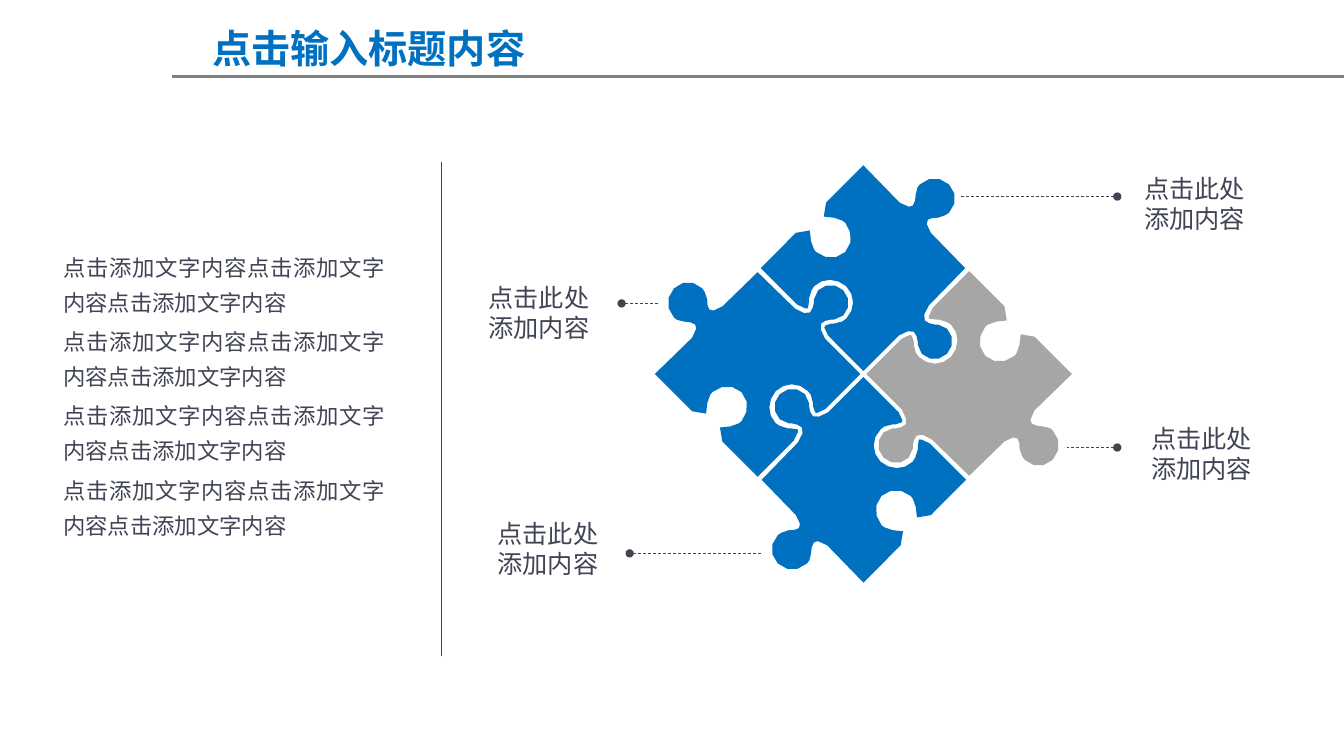
import math

import pptx
import pptx.dml.color
import pptx.enum.dml
import pptx.enum.shapes
import pptx.enum.text
import pptx.oxml
import pptx.oxml.ns
import pptx.util
from pptx.util import Inches

COLORS = {"blue": "0070C0", "gray": "A6A6A6", "rule": "808080", "ink": "414455"}
ALIGN = pptx.enum.text.PP_ALIGN

# Top puzzle piece, clockwise from its tip, in inches from the hub.
# One point is a straight line, three points are a Bezier curve.
PIECE_OUTLINE = [
    [(0, -2.07)],
    # Outer knob
    [(0.36, -1.70)],
    [(0.44, -1.65), (0.48, -1.65), (0.49, -1.67)],
    [(0.52, -1.69), (0.51, -1.74), (0.52, -1.78)],
    [(0.52, -1.84), (0.55, -1.87), (0.56, -1.88)],
    [(0.64, -1.96), (0.77, -1.96), (0.85, -1.88)],
    [(0.93, -1.80), (0.93, -1.68), (0.85, -1.60)],
    [(0.84, -1.59), (0.80, -1.56), (0.74, -1.55)],
    [(0.71, -1.55), (0.66, -1.55), (0.64, -1.53)],
    [(0.62, -1.51), (0.62, -1.48), (0.67, -1.40)],
    [(1.01, -1.05)],
    # Inner knob
    [(0.65, -0.68)],
    [(0.60, -0.61), (0.59, -0.56), (0.61, -0.53)],
    [(0.63, -0.50), (0.68, -0.50), (0.71, -0.49)],
    [(0.74, -0.49)],
    [(0.80, -0.49), (0.83, -0.46), (0.83, -0.45)],
    [(0.90, -0.38), (0.90, -0.27), (0.83, -0.20)],
    [(0.76, -0.13), (0.65, -0.13), (0.58, -0.20)],
    [(0.57, -0.20), (0.54, -0.23), (0.54, -0.29)],
    [(0.54, -0.32)],
    [(0.53, -0.36), (0.53, -0.40), (0.50, -0.42)],
    [(0.47, -0.44), (0.42, -0.42), (0.35, -0.38)],
    [(0, -0.03)],
    # Inner notch
    [(-0.35, -0.38)],
    [(-0.40, -0.46), (-0.39, -0.48), (-0.38, -0.48)],
    [(-0.37, -0.49), (-0.34, -0.49), (-0.32, -0.50)],
    [(-0.29, -0.50)],
    [(-0.22, -0.50), (-0.18, -0.54), (-0.17, -0.55)],
    [(-0.08, -0.64), (-0.08, -0.78), (-0.17, -0.87)],
    [(-0.26, -0.95), (-0.40, -0.96), (-0.49, -0.87)],
    [(-0.50, -0.86), (-0.53, -0.81), (-0.54, -0.75)],
    [(-0.54, -0.72)],
    [(-0.54, -0.69), (-0.54, -0.66), (-0.55, -0.65)],
    [(-0.56, -0.65), (-0.58, -0.64), (-0.66, -0.69)],
    [(-1.02, -1.05)],
    # Outer notch
    [(-0.67, -1.40)],
    [(-0.50, -1.50), (-0.52, -1.39), (-0.52, -1.32)],
    [(-0.51, -1.25), (-0.47, -1.21), (-0.47, -1.21)],
    [(-0.39, -1.14), (-0.26, -1.13), (-0.18, -1.21)],
    [(-0.10, -1.29), (-0.11, -1.42), (-0.18, -1.50)],
    [(-0.18, -1.50), (-0.22, -1.54), (-0.29, -1.55)],
    [(-0.36, -1.55), (-0.47, -1.53), (-0.37, -1.70)],
]
HUB = complex(8.57, 3.71)
CHORD = 0.1


def turn(degrees):
    angle = math.radians(degrees)
    return complex(math.cos(angle), math.sin(angle))


def trace(outline):
    """Return the outline as complex points, curves cut into short chords."""
    points = []
    for segment in outline:
        ends = [complex(*point) for point in segment]
        if len(ends) == 1:
            points += ends
            continue
        start, (pull_out, pull_in, end) = points[-1], ends
        steps = math.ceil(abs(end - start) / CHORD)
        for step in range(1, steps + 1):
            t = step / steps
            s = 1 - t
            points.append(s**3 * start + 3 * s * s * t * pull_out
                          + 3 * s * t * t * pull_in + t**3 * end)
    return points


class PuzzleSlide:
    font = "Noto Sans CJK SC"

    def __init__(self, presentation):
        self.slide = presentation.slides.add_slide(presentation.slide_layouts[6])

    def color(self, name):
        return pptx.dml.color.RGBColor.from_string(COLORS[name])

    def text(self, box, lines, size, color="ink", bold=False, wrap=True,
             align=ALIGN.LEFT, line_spacing=None, gap=0):
        frame = self.slide.shapes.add_textbox(*map(Inches, box)).text_frame
        frame.word_wrap = wrap
        frame.text = "\n".join(lines)
        for index, paragraph in enumerate(frame.paragraphs):
            paragraph.alignment = align
            if line_spacing:
                paragraph.line_spacing = line_spacing
            if index and gap:
                paragraph.space_before = pptx.util.Pt(gap)
            for run in paragraph.runs:
                run.font.size = pptx.util.Pt(size)
                run.font.bold = bold
                run.font.color.rgb = self.color(color)
                run.font.name = self.font
                east_asian = pptx.oxml.parse_xml(
                    f'<a:ea {pptx.oxml.ns.nsdecls("a")} typeface="{self.font}"/>')
                run.font._element.append(east_asian)

    def line(self, start, end, width, color="ink", dotted_leader=False):
        connector = self.slide.shapes.add_connector(
            pptx.enum.shapes.MSO_CONNECTOR.STRAIGHT, *map(Inches, start + end))
        connector.line.width = pptx.util.Pt(width)
        connector.line.color.rgb = self.color(color)
        namespace = pptx.oxml.ns.nsdecls("a")
        if dotted_leader:
            connector.line.dash_style = pptx.enum.dml.MSO_LINE.DASH
            connector.line._get_or_add_ln().append(
                pptx.oxml.parse_xml(f'<a:headEnd {namespace} type="oval"/>'))
        connector._element.spPr.append(
            pptx.oxml.parse_xml(f"<a:effectLst {namespace}/>"))

    def piece(self, quarter_turns, color):
        # Outline the piece squarely, then tilt the shape onto its corner
        square = turn(45 + 90 * quarter_turns)
        points = [point * square for point in trace(PIECE_OUTLINE)]
        corners = [(Inches(p.real), Inches(p.imag)) for p in points]
        builder = self.slide.shapes.build_freeform(*corners[0])
        builder.add_line_segments(corners[1:], close=True)
        shape = builder.convert_to_shape()
        middle = complex(shape.left + shape.width / 2, shape.top + shape.height / 2)
        center = HUB * Inches(1) + middle * turn(-45)
        shape.left = round(center.real - shape.width / 2)
        shape.top = round(center.imag - shape.height / 2)
        shape.rotation = 315
        shape.shadow.inherit = False
        shape.fill.solid()
        shape.fill.fore_color.rgb = self.color(color)
        shape.line.fill.background()


def main():
    presentation = pptx.Presentation()
    presentation.slide_width = Inches(13.34)
    presentation.slide_height = Inches(7.5)
    page = PuzzleSlide(presentation)

    # Header
    page.line((1.71, 0.76), (13.34, 0.76), 2, "rule")
    page.text((1.86, 0.19, 3.6, 0.57), ["点击输入标题内容"], 28, "blue",
              bold=True, align=ALIGN.CENTER)

    # Puzzle: top, right, bottom, left
    for quarter_turns, color in enumerate(["blue", "gray", "blue", "blue"]):
        page.piece(quarter_turns, color)

    # Labels with leaders: label corner, leader start x, leader end x, leader y
    for left, top, dot_x, piece_x, y in [
        (4.75, 2.75, 6.17, 6.53, 3.01),
        (4.84, 5.09, 6.25, 7.55, 5.49),
        (11.26, 1.67, 11.09, 9.53, 1.95),
        (11.33, 4.15, 11.09, 10.59, 4.44),
    ]:
        page.line((dot_x, y), (piece_x, y), 0.5, dotted_leader=True)
        page.text((left, top, 1.21, 0.71), ["点击此处", "添加内容"], 18, wrap=False)

    # Body text and divider
    page.text((0.53, 2.39, 3.39, 3.72), ["点击添加文字内容" * 3] * 4, 16,
              align=ALIGN.JUSTIFY, line_spacing=1.3, gap=3.2)
    page.line((4.38, 6.51), (4.38, 1.61), 0.25)

    presentation.save("out.pptx")


if __name__ == "__main__":
    main()
